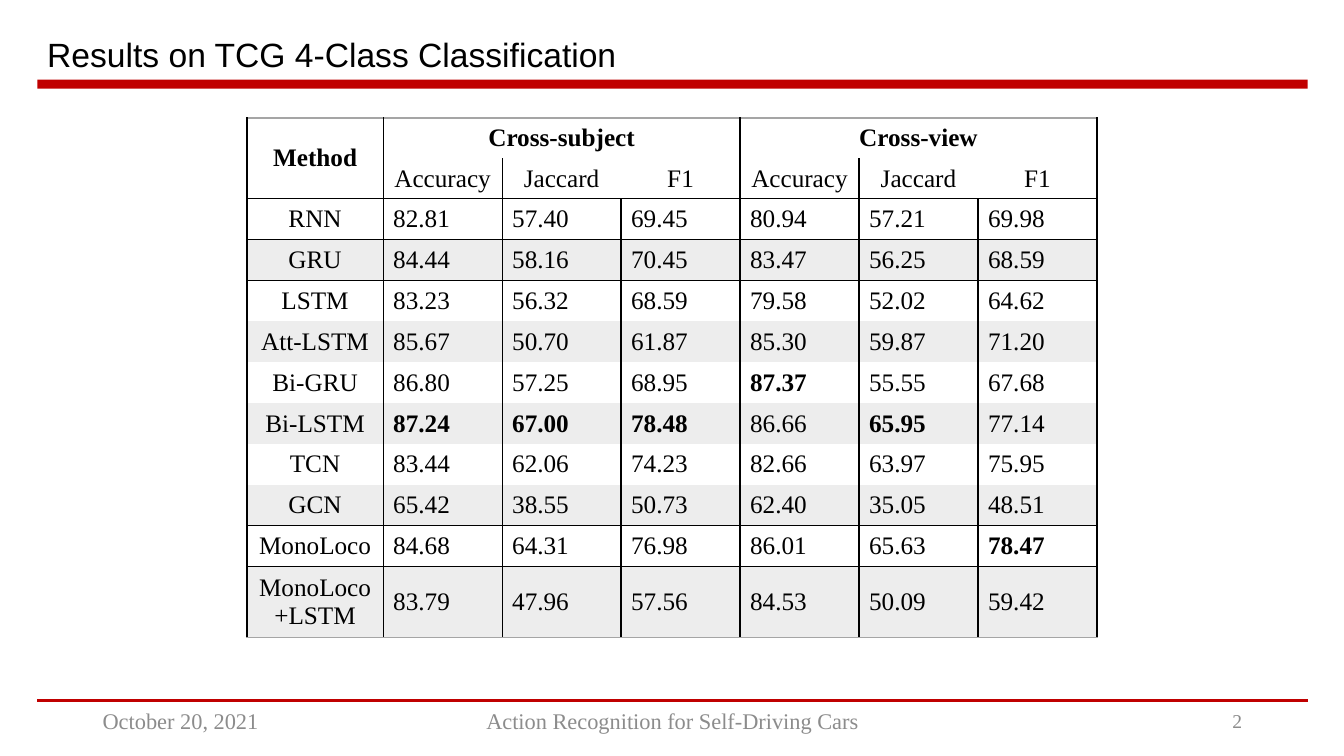
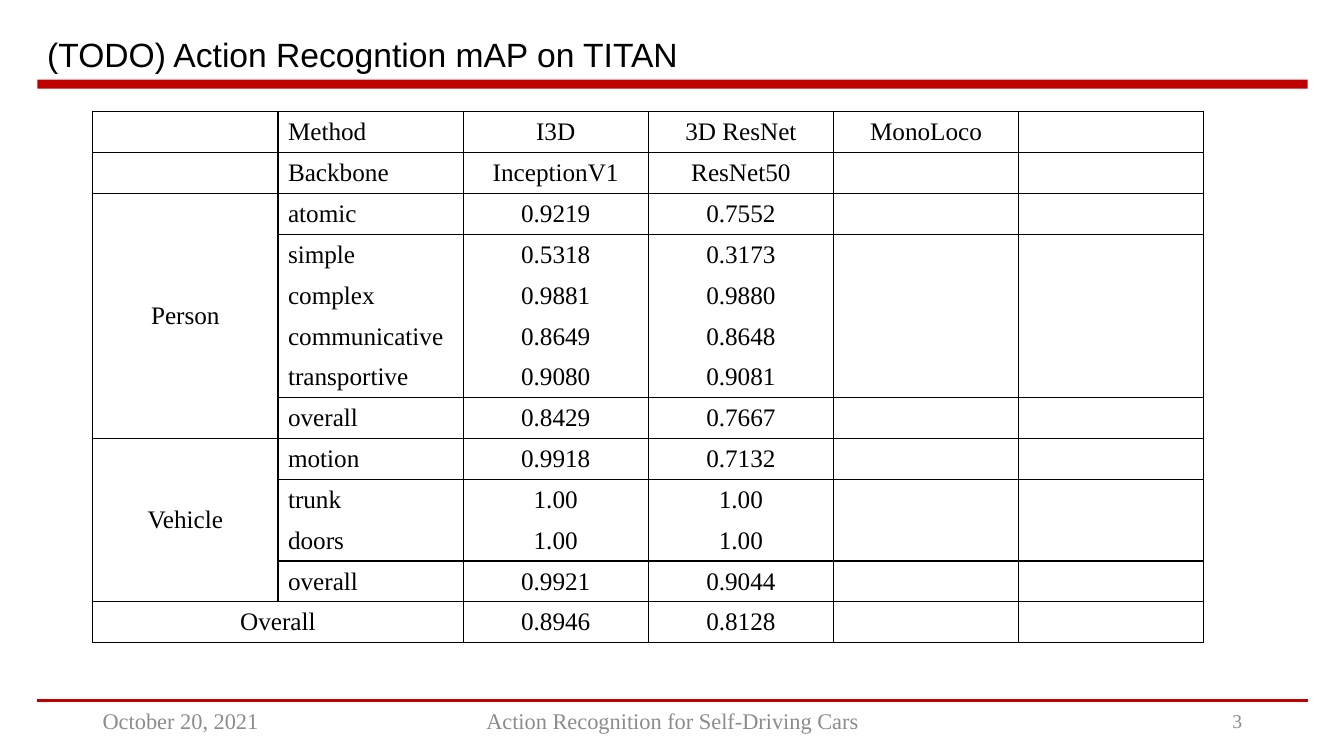
from dataclasses import dataclass
from typing import NamedTuple

from lxml.etree import SubElement
from pptx import Presentation
from pptx.dml.color import RGBColor
from pptx.enum.shapes import MSO_CONNECTOR, MSO_SHAPE
from pptx.enum.text import MSO_ANCHOR, PP_ALIGN
from pptx.oxml.ns import qn
from pptx.slide import Slide
from pptx.table import Table, _Cell as Cell
from pptx.text.text import _Paragraph as Paragraph
from pptx.util import Inches, Pt

COLORS = {
    "text": "000000",
    "accent": "C00000",
    "footer": "8C8C8C",
    "rule": "000000",
    "frame": "A5A5A5",
    "stripe": "EDEDED",
}
SANS, SERIF = "Arial", "Times New Roman"
NO_STYLE = "{2D5ABB26-0587-4C30-8999-92F81FD0307C}"
BAND_LEFT, BAND_WIDTH = 0.37, 12.6
FOOTER_TOP = 6.95


class Label(NamedTuple):
    left: float
    top: float
    width: float
    height: float
    size: int
    font: str = SERIF
    color: str = "footer"
    align: PP_ALIGN = PP_ALIGN.LEFT
    spacing: float = 1.0


TITLE = Label(BAND_LEFT, 0.29, 12.6, 0.55, 24, SANS, "text", spacing=0.9)
DATE = Label(0.92, FOOTER_TOP, 3, 0.4, 16)
TALK = Label(4.42, FOOTER_TOP, 4.5, 0.4, 16, align=PP_ALIGN.CENTER)
NUMBER = Label(9.42, FOOTER_TOP, 3, 0.4, 14, align=PP_ALIGN.RIGHT)


class Rule(NamedTuple):
    """A border along one grid edge, over the cells from start to stop."""
    edge: int
    start: int = 0
    stop: int | None = None
    color: str = "rule"


class Merge(NamedTuple):
    row: int
    col: int
    rows: int
    cols: int


@dataclass(frozen=True)
class Grid:
    left: float
    top: float
    widths: list[float]
    heights: list[float]
    rows: list[list[str]]
    merges: list[Merge]
    across: list[Rule]
    down: list[Rule]
    left_columns: range
    header_rows: int = 0
    stripes: range = range(0)
    bold: frozenset[str] = frozenset()


def rgb(name: str) -> RGBColor:
    return RGBColor.from_string(COLORS[name])


def add_run(paragraph: Paragraph, text: str, size: int, font: str, color: str,
            bold: bool = False) -> None:
    run = paragraph.add_run()
    run.text = text
    run.font.size = Pt(size)
    run.font.name = font
    run.font.bold = bold
    run.font.color.rgb = rgb(color)


def add_label(slide: Slide, label: Label, text: str) -> None:
    box = slide.shapes.add_textbox(*map(Inches, label[:4]))
    frame = box.text_frame
    frame.word_wrap = True
    frame.vertical_anchor = MSO_ANCHOR.MIDDLE
    paragraph = frame.paragraphs[0]
    paragraph.alignment = label.align
    paragraph.line_spacing = label.spacing
    add_run(paragraph, text, label.size, label.font, label.color)


def add_frame(slide: Slide, title: str, number: int) -> None:
    """Draw the title, the red bands and the footer every slide shares."""
    band = slide.shapes.add_shape(
        MSO_SHAPE.RECTANGLE, Inches(BAND_LEFT), Inches(0.79),
        Inches(BAND_WIDTH), Inches(0.09))
    band.shadow.inherit = False
    band.fill.solid()
    band.fill.fore_color.rgb = rgb("accent")
    band.line.fill.background()

    footer_line = slide.shapes.add_connector(
        MSO_CONNECTOR.STRAIGHT, Inches(BAND_LEFT), Inches(FOOTER_TOP),
        Inches(BAND_LEFT + BAND_WIDTH), Inches(FOOTER_TOP))
    footer_line.line.color.rgb = rgb("accent")
    footer_line.line.width = Pt(1.75)
    SubElement(footer_line._element.spPr, qn("a:effectLst"))

    add_label(slide, TITLE, title)
    add_label(slide, DATE, "October 20, 2021")
    add_label(slide, TALK, "Action Recognition for Self-Driving Cars")
    add_label(slide, NUMBER, str(number))


def collect_borders(grid: Grid) -> dict[tuple[int, int], dict[str, str]]:
    """Turn the rules into side colours per cell, merge origins included."""
    row_count, col_count = len(grid.heights), len(grid.widths)
    origins = {(r, c): (m.row, m.col) for m in grid.merges
               for r in range(m.row, m.row + m.rows)
               for c in range(m.col, m.col + m.cols)}
    borders: dict[tuple[int, int], dict[str, str]] = {}

    def mark(row: int, col: int, side: str, color: str) -> None:
        if 0 <= row < row_count and 0 <= col < col_count:
            for place in {(row, col), origins.get((row, col), (row, col))}:
                borders.setdefault(place, {})[side] = color

    for edge, start, stop, color in grid.across:
        for col in range(col_count)[start:stop]:
            mark(edge - 1, col, "lnB", color)
            mark(edge, col, "lnT", color)
    for edge, start, stop, color in grid.down:
        for row in range(row_count)[start:stop]:
            mark(row, edge - 1, "lnR", color)
            mark(row, edge, "lnL", color)
    return borders


def set_borders(cell: Cell, sides: dict[str, str]) -> None:
    properties = cell._tc.get_or_add_tcPr()
    for side in ("lnL", "lnR", "lnT", "lnB"):
        if side in sides:
            line = SubElement(properties, qn(f"a:{side}"), w=str(Pt(1)))
            fill = SubElement(line, qn("a:solidFill"))
            SubElement(fill, qn("a:srgbClr"), val=COLORS[sides[side]])


def fill_cells(table: Table, grid: Grid) -> None:
    borders = collect_borders(grid)
    for r, row in enumerate(grid.rows):
        for c, text in enumerate(row):
            cell = table.cell(r, c)
            set_borders(cell, borders.get((r, c), {}))
            if r in grid.stripes:
                cell.fill.solid()
                cell.fill.fore_color.rgb = rgb("stripe")
            else:
                cell.fill.background()
            cell.vertical_anchor = MSO_ANCHOR.MIDDLE
            paragraph = cell.text_frame.paragraphs[0]
            is_left = r >= grid.header_rows and c in grid.left_columns
            paragraph.alignment = PP_ALIGN.LEFT if is_left else PP_ALIGN.CENTER
            if text:
                add_run(paragraph, text, 18, SERIF, "text", text in grid.bold)


def add_grid(slide: Slide, grid: Grid) -> None:
    table = slide.shapes.add_table(
        len(grid.heights), len(grid.widths), Inches(grid.left), Inches(grid.top),
        Inches(sum(grid.widths)), Inches(sum(grid.heights))).table
    table._tbl.tblPr.find(qn("a:tableStyleId")).text = NO_STYLE
    table.first_row = table.horz_banding = False
    for column, width in zip(table.columns, grid.widths):
        column.width = Inches(width)
    for row, height in zip(table.rows, grid.heights):
        row.height = Inches(height)
    for m in grid.merges:
        last = table.cell(m.row + m.rows - 1, m.col + m.cols - 1)
        table.cell(m.row, m.col).merge(last)
    fill_cells(table, grid)


SCORES = [
    ["RNN", "82.81", "57.40", "69.45", "80.94", "57.21", "69.98"],
    ["GRU", "84.44", "58.16", "70.45", "83.47", "56.25", "68.59"],
    ["LSTM", "83.23", "56.32", "68.59", "79.58", "52.02", "64.62"],
    ["Att-LSTM", "85.67", "50.70", "61.87", "85.30", "59.87", "71.20"],
    ["Bi-GRU", "86.80", "57.25", "68.95", "87.37", "55.55", "67.68"],
    ["Bi-LSTM", "87.24", "67.00", "78.48", "86.66", "65.95", "77.14"],
    ["TCN", "83.44", "62.06", "74.23", "82.66", "63.97", "75.95"],
    ["GCN", "65.42", "38.55", "50.73", "62.40", "35.05", "48.51"],
    ["MonoLoco", "84.68", "64.31", "76.98", "86.01", "65.63", "78.47"],
    ["MonoLoco+LSTM", "83.79", "47.96", "57.56", "84.53", "50.09", "59.42"],
]
BEST_SCORES = [max(column) for column in list(zip(*SCORES))[1:]]

TCG_RESULTS = Grid(
    left=2.45, top=1.17,
    widths=[1.35] + [1.18] * 6,
    heights=[0.38, 0.4] + [3.65 / 9] * 9 + [0.65],
    rows=[["Method", "Cross-subject", "", "", "Cross-view", "", ""],
          [""] + ["Accuracy", "Jaccard", "F1"] * 2] + SCORES,
    merges=[Merge(0, 0, 2, 1), Merge(0, 1, 1, 3), Merge(0, 4, 1, 3)],
    across=[Rule(edge) for edge in (2, 3, 10, 11)]
    + [Rule(edge, color="frame") for edge in (0, 12)],
    down=[Rule(edge) for edge in (0, 1, 4, 7)]
    + [Rule(edge, start=2) for edge in (2, 5)],
    left_columns=range(1, 7),
    header_rows=2,
    stripes=range(3, 12, 2),
    bold=frozenset(["Method", "Cross-subject", "Cross-view", *BEST_SCORES]),
)

TITAN_ROWS = [
    ["", "Method", "I3D", "3D ResNet", "MonoLoco"],
    ["", "Backbone", "InceptionV1", "ResNet50"],
    ["Person", "atomic", "0.9219", "0.7552"],
    ["", "simple", "0.5318", "0.3173"],
    ["", "complex", "0.9881", "0.9880"],
    ["", "communicative", "0.8649", "0.8648"],
    ["", "transportive", "0.9080", "0.9081"],
    ["", "overall", "0.8429", "0.7667"],
    ["Vehicle", "motion", "0.9918", "0.7132"],
    ["", "trunk", "1.00", "1.00"],
    ["", "doors", "1.00", "1.00"],
    ["", "overall", "0.9921", "0.9044"],
    ["Overall", "", "0.8946", "0.8128"],
]

TITAN_RESULTS = Grid(
    left=0.92, top=1.11,
    widths=[11.02 / 6] * 6,
    heights=[5.27 / 13] * 13,
    rows=[row + [""] * (6 - len(row)) for row in TITAN_ROWS],
    merges=[Merge(2, 0, 6, 1), Merge(8, 0, 4, 1), Merge(12, 0, 1, 2)],
    across=[Rule(edge) for edge in (0, 1, 2, 8, 12, 13)]
    + [Rule(edge, start=1) for edge in (7, 11)],
    down=[Rule(edge) for edge in (0, 2, 3, 4, 5, 6)] + [Rule(1, stop=12)],
    left_columns=range(1, 2),
)

PAGES = [
    ("Results on TCG 4-Class Classification", TCG_RESULTS),
    ("(TODO) Action Recogntion mAP on TITAN", TITAN_RESULTS),
]


def main() -> None:
    deck = Presentation()
    deck.slide_width, deck.slide_height = Inches(13.33), Inches(7.5)
    blank = deck.slide_layouts[6]
    for number, (title, grid) in enumerate(PAGES, start=2):
        slide = deck.slides.add_slide(blank)
        add_frame(slide, title, number)
        add_grid(slide, grid)
    deck.save("out.pptx")


if __name__ == "__main__":
    main()
